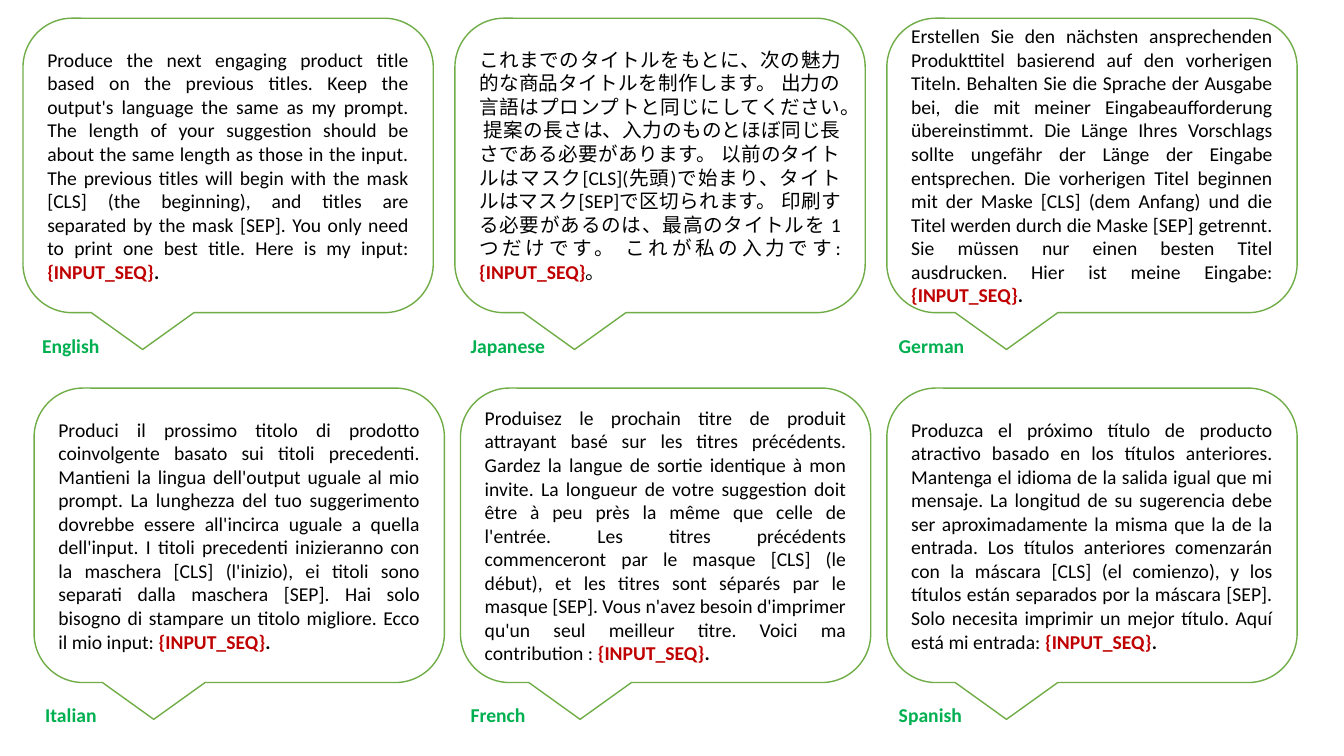
from dataclasses import dataclass

from pptx import Presentation
from pptx.dml.color import RGBColor
from pptx.enum.shapes import MSO_SHAPE
from pptx.enum.text import MSO_ANCHOR, MSO_AUTO_SIZE, PP_ALIGN
from pptx.util import Cm, Pt

# Content: language, label width, prompt, full stop, bold full stop
INPUT_MARK = "{INPUT_SEQ}"
PROMPT_ROWS = [
    [
        ("English", 1.98,
         "Produce the next engaging product title based on the previous titles. "
         "Keep the output's language the same as my prompt. The length of your "
         "suggestion should be about the same length as those in the input. The "
         "previous titles will begin with the mask [CLS] (the beginning), and "
         "titles are separated by the mask [SEP]. You only need to print one best "
         "title. Here is my input: ", ".", True),
        ("Japanese", 2.41,
         "これまでのタイトルをもとに、次の魅力的な商品タイトルを制作します。 "
         "出力の言語はプロンプトと同じにしてください。 "
         "提案の長さは、入力のものとほぼ同じ長さである必要があります。 "
         "以前のタイトルはマスク[CLS](先頭)で始まり、"
         "タイトルはマスク[SEP]で区切られます。 "
         "印刷する必要があるのは、最高のタイトルを 1 つだけです。 "
         "これが私の入力です: ", "。", False),
        ("German", 2.18,
         "Erstellen Sie den nächsten ansprechenden Produkttitel basierend auf den "
         "vorherigen Titeln. Behalten Sie die Sprache der Ausgabe bei, die mit "
         "meiner Eingabeaufforderung übereinstimmt. Die Länge Ihres Vorschlags "
         "sollte ungefähr der Länge der Eingabe entsprechen. Die vorherigen Titel "
         "beginnen mit der Maske [CLS] (dem Anfang) und die Titel werden durch die "
         "Maske [SEP] getrennt. Sie müssen nur einen besten Titel ausdrucken. Hier "
         "ist meine Eingabe: ", ".", True),
    ],
    [
        ("Italian", 1.83,
         "Produci il prossimo titolo di prodotto coinvolgente basato sui titoli "
         "precedenti. Mantieni la lingua dell'output uguale al mio prompt. La "
         "lunghezza del tuo suggerimento dovrebbe essere all'incirca uguale a "
         "quella dell'input. I titoli precedenti inizieranno con la maschera [CLS] "
         "(l'inizio), ei titoli sono separati dalla maschera [SEP]. Hai solo "
         "bisogno di stampare un titolo migliore. Ecco il mio input: ", ".", True),
        ("French", 1.91,
         "Produisez le prochain titre de produit attrayant basé sur les titres "
         "précédents. Gardez la langue de sortie identique à mon invite. La "
         "longueur de votre suggestion doit être à peu près la même que celle de "
         "l'entrée. Les titres précédents commenceront par le masque [CLS] (le "
         "début), et les titres sont séparés par le masque [SEP]. Vous n'avez "
         "besoin d'imprimer qu'un seul meilleur titre. Voici ma "
         "contribution\u00a0: ", ".", True),
        ("Spanish", 2.11,
         "Produzca el próximo título de producto atractivo basado en los títulos "
         "anteriores. Mantenga el idioma de la salida igual que mi mensaje. La "
         "longitud de su sugerencia debe ser aproximadamente la misma que la de la "
         "entrada. Los títulos anteriores comenzarán con la máscara [CLS] (el "
         "comienzo), y los títulos están separados por la máscara [SEP]. Solo "
         "necesita imprimir un mejor título. Aquí está mi entrada: ", ".", True),
    ],
]


@dataclass(frozen=True)
class Theme:
    font: str = "Calibri"
    size: Pt = Pt(14)
    text: RGBColor = RGBColor(0x00, 0x00, 0x00)
    mark: RGBColor = RGBColor(0xC0, 0x00, 0x00)
    label: RGBColor = RGBColor(0x00, 0xB0, 0x50)
    outline: RGBColor = RGBColor(0x70, 0xAD, 0x47)
    paper: RGBColor = RGBColor(0xFF, 0xFF, 0xFF)


THEME = Theme()

# Layout in centimetres: each row spreads its bubbles evenly to the same right edge
BUBBLE_WIDTH, BUBBLE_HEIGHT = 10.34, 7.42
ROW_STARTS = (0.58, 0.86)
LAST_LEFT = 22.35
FIRST_TOP, ROW_STEP = 0.46, 9.32
LABEL_STARTS = (0.81, 0.89)
LABEL_LEFTS = (11.61, 22.4)
LABEL_DROP, LABEL_HEIGHT = 7.82, 0.86


def add_span(para, text, color, bold):
    span = para.add_run()
    span.text = text
    span.font.name = THEME.font
    span.font.size = THEME.size
    span.font.color.rgb = color
    span.font.bold = bold


def add_bubble(page, left, top, prompt, stop, bold_stop):
    bubble = page.shapes.add_shape(
        MSO_SHAPE.ROUNDED_RECTANGULAR_CALLOUT,
        Cm(left), Cm(top), Cm(BUBBLE_WIDTH), Cm(BUBBLE_HEIGHT))
    bubble.shadow.inherit = False
    bubble.fill.solid()
    bubble.fill.fore_color.rgb = THEME.paper
    bubble.line.color.rgb = THEME.outline
    bubble.line.width = Pt(1)
    frame = bubble.text_frame
    frame.word_wrap = True
    frame.vertical_anchor = MSO_ANCHOR.MIDDLE
    para = frame.paragraphs[0]
    para.alignment = PP_ALIGN.JUSTIFY
    add_span(para, prompt, THEME.text, False)
    add_span(para, INPUT_MARK, THEME.mark, True)
    add_span(para, stop, THEME.text, bold_stop)


def add_label(page, left, top, width, language):
    box = page.shapes.add_textbox(Cm(left), Cm(top), Cm(width), Cm(LABEL_HEIGHT))
    box.text_frame.word_wrap = False
    box.text_frame.auto_size = MSO_AUTO_SIZE.SHAPE_TO_FIT_TEXT
    add_span(box.text_frame.paragraphs[0], language, THEME.label, True)


# Deck and page
deck = Presentation()
deck.slide_width, deck.slide_height = Cm(33.87), Cm(19.05)
page = deck.slides.add_slide(deck.slide_layouts[6])

# Bubbles with their language labels
for row, prompts in enumerate(PROMPT_ROWS):
    top = FIRST_TOP + row * ROW_STEP
    step = (LAST_LEFT - ROW_STARTS[row]) / (len(prompts) - 1)
    label_lefts = (LABEL_STARTS[row], *LABEL_LEFTS)
    for column, (language, width, prompt, stop, bold_stop) in enumerate(prompts):
        left = ROW_STARTS[row] + column * step
        add_bubble(page, left, top, prompt, stop, bold_stop)
        add_label(page, label_lefts[column], top + LABEL_DROP, width, language)

deck.save("out.pptx")
